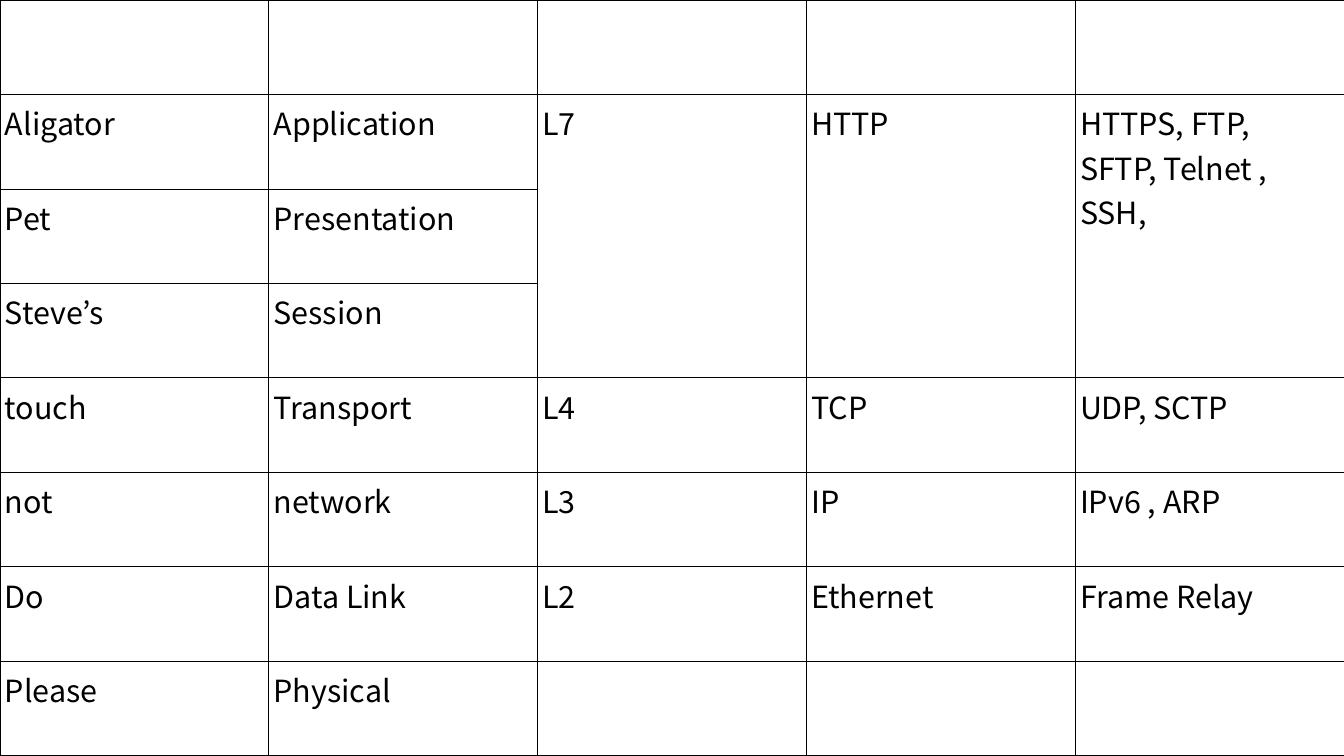
from lxml.etree import SubElement
from pptx import Presentation
from pptx.dml.color import RGBColor
from pptx.oxml.ns import qn
from pptx.util import Inches, Pt

BLACK = RGBColor(0x00, 0x00, 0x00)
WHITE = RGBColor(0xFF, 0xFF, 0xFF)
PAGE_WIDTH, PAGE_HEIGHT = 11.02, 6.2

LAYERS = [
    ["", "", "", "", ""],
    ["Aligator", "Application", "L7", "HTTP", "HTTPS, FTP,\nSFTP, Telnet ,\nSSH,"],
    ["Pet", "Presentation", "", "", ""],
    ["Steve’s", "Session", "", "", ""],
    ["touch", "Transport", "L4", "TCP", "UDP, SCTP"],
    ["not", "network", "L3", "IP", "IPv6 , ARP"],
    ["Do", "Data Link", "L2", "Ethernet", "Frame Relay"],
    ["Please", "Physical", "", "", ""],
]
FIRST_L7_ROW, LAST_L7_ROW = 1, 3
L7_COLUMNS = range(2, 5)


class PageBuilder:
    font_name = "Noto Sans CJK KR"
    font_size = Pt(18)
    border_width = Pt(0.57)

    def __init__(self, page):
        self.page = page

    def add_table(self, rows, left, top, width, height):
        frame = self.page.shapes.add_table(
            len(rows), len(rows[0]),
            Inches(left), Inches(top), Inches(width), Inches(height))
        table = frame.table
        table.first_row = False
        table.horz_banding = False
        for row_index, row in enumerate(rows):
            for column_index, text in enumerate(row):
                self.fill_cell(table.cell(row_index, column_index), text)
        return table

    def fill_cell(self, cell, text):
        cell.fill.solid()
        cell.fill.fore_color.rgb = WHITE
        cell.margin_left = cell.margin_right = Inches(0.04)
        cell.margin_top = cell.margin_bottom = Inches(0.05)
        cell.text = text
        for para in cell.text_frame.paragraphs:
            para.font.name = self.font_name
            para.font.size = self.font_size
            para.font.color.rgb = BLACK
        self.draw_borders(cell)

    def draw_borders(self, cell):
        properties = cell._tc.get_or_add_tcPr()
        for position, side in enumerate(("a:lnL", "a:lnR", "a:lnT", "a:lnB")):
            line = SubElement(properties, qn(side), w=str(self.border_width))
            fill = SubElement(line, qn("a:solidFill"))
            SubElement(fill, qn("a:srgbClr"), val=str(BLACK))
            properties.insert(position, line)


def main():
    deck = Presentation()
    deck.slide_width = Inches(PAGE_WIDTH)
    deck.slide_height = Inches(PAGE_HEIGHT)
    builder = PageBuilder(deck.slides.add_slide(deck.slide_layouts[6]))
    table = builder.add_table(LAYERS, 0, 0, PAGE_WIDTH, PAGE_HEIGHT)
    for column in L7_COLUMNS:
        table.cell(FIRST_L7_ROW, column).merge(table.cell(LAST_L7_ROW, column))
    deck.save("out.pptx")


if __name__ == "__main__":
    main()
